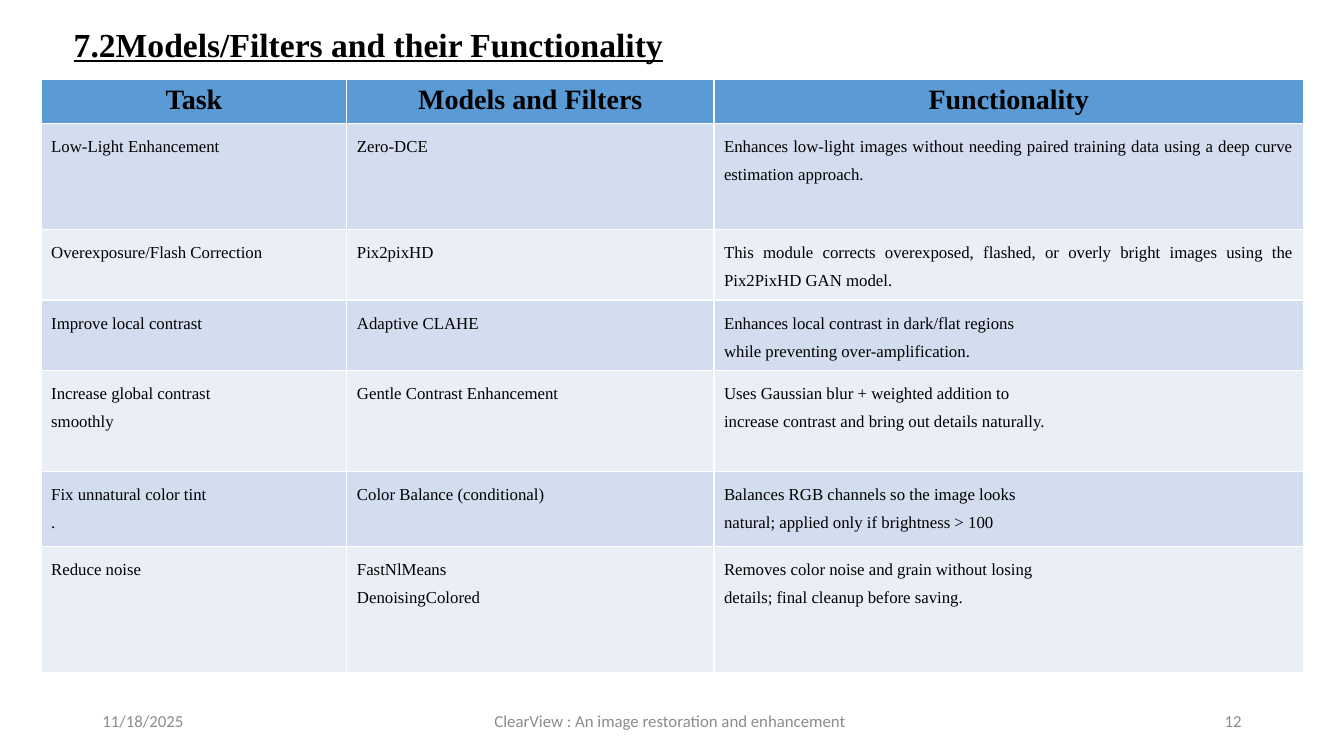
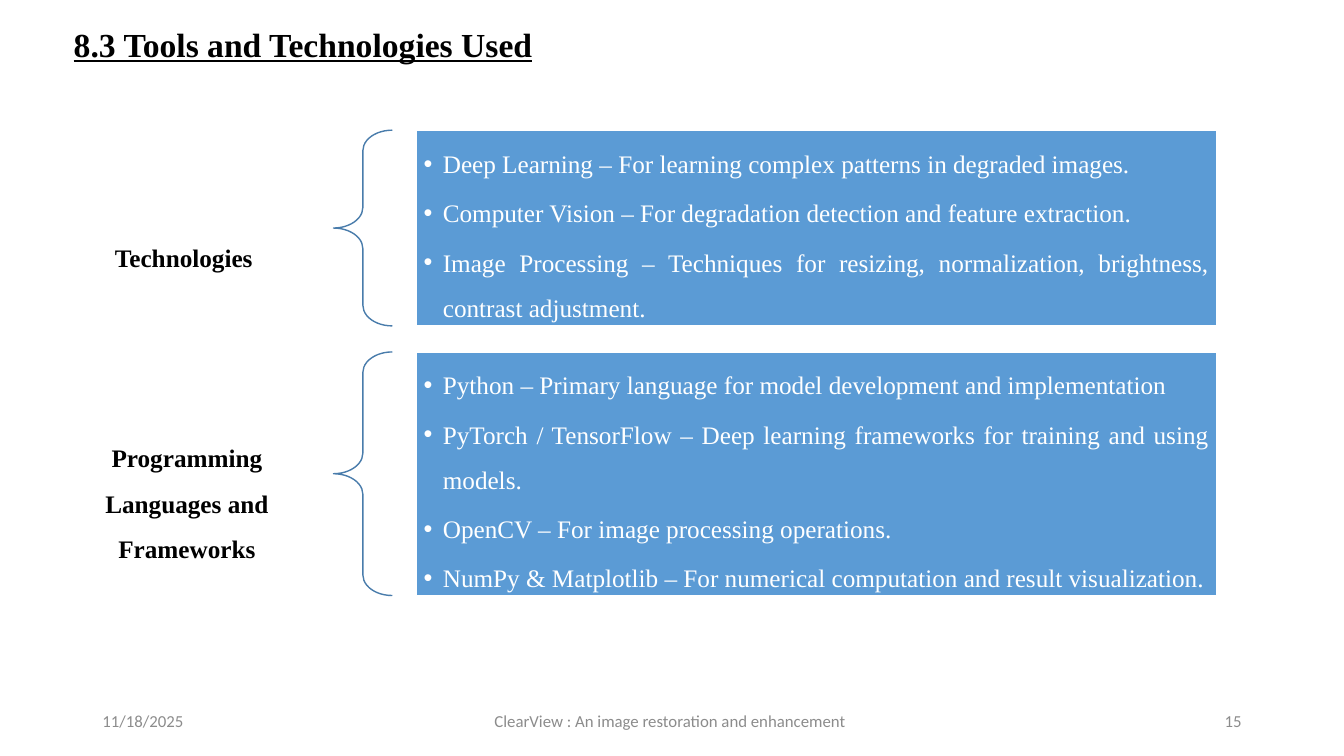
from lxml import etree
from pptx import Presentation
from pptx import util as u
from pptx.dml.color import RGBColor
from pptx.enum import shapes, text
from pptx.oxml.ns import qn

COLUMNS, ROWS = 160, 90
SLIDE_WIDTH, SLIDE_HEIGHT = u.Inches(13.33), u.Inches(7.5)
COLORS = {
    "ink": "000000",
    "paper": "FFFFFF",
    "blue": "5B9BD5",
    "brace": "497CAB",
    "band_dark": "D2DEEF",
    "band_light": "EAEFF7",
    "footer": "8C8C8C",
}
SERIF, SANS = "Times New Roman", "Calibri"
LEFT, CENTER = text.PP_ALIGN.LEFT, text.PP_ALIGN.CENTER
RIGHT, JUSTIFY = text.PP_ALIGN.RIGHT, text.PP_ALIGN.JUSTIFY
TOP, MIDDLE = text.MSO_ANCHOR.TOP, text.MSO_ANCHOR.MIDDLE

DATE = "11/18/2025"
PROJECT = "ClearView : An image restoration and enhancement "

TABLE_COLUMNS = [36.4, 43.7, 70.2]
TABLE_ROWS = [5.2, 12.6, 8.4, 8.4, 12, 8.9, 15.1]
HEADINGS = ["Task", "Models and Filters", "Functionality"]
FILTERS = [
    ["Low-Light Enhancement", "Zero-DCE",
     "Enhances low-light images without needing paired training data using a deep curve "
     "estimation approach."],
    ["Overexposure/Flash Correction", "Pix2pixHD",
     "This module corrects overexposed, flashed, or overly bright images using the "
     "Pix2PixHD GAN model."],
    ["Improve local contrast", "Adaptive CLAHE",
     "Enhances local contrast in dark/flat regions\nwhile preventing over-amplification."],
    ["Increase global contrast\nsmoothly", "Gentle Contrast Enhancement",
     "Uses Gaussian blur + weighted addition to\n"
     "increase contrast and bring out details naturally."],
    ["Fix unnatural color tint\n.", "Color Balance (conditional)",
     "Balances RGB channels so the image looks\nnatural; applied only if brightness > 100"],
    ["Reduce noise", "FastNlMeans\nDenoisingColored",
     "Removes color noise and grain without losing\ndetails; final cleanup before saving."],
]

TOOL_GROUPS = [
    ("Technologies ", 23.3, [
        "Deep Learning – For learning complex patterns in degraded images.",
        "Computer Vision – For degradation detection and feature extraction.",
        "Image Processing – Techniques for resizing, normalization, brightness, "
        "contrast adjustment.",
    ]),
    ("Programming Languages and Frameworks", 29, [
        "Python – Primary language for model development and implementation",
        "PyTorch / TensorFlow – Deep learning frameworks for training and using models.",
        "OpenCV – For image processing operations.",
        "NumPy & Matplotlib – For numerical computation and result visualization.",
    ]),
]
GROUP_TOP, GROUP_GAP, LABEL_DROP = 15.5, 3.1, 2.6


def color(name):
    return RGBColor.from_string(COLORS[name])


def across(columns):
    return round(SLIDE_WIDTH * columns / COLUMNS)


def down(rows):
    return round(SLIDE_HEIGHT * rows / ROWS)


def area(left, top, width, height):
    return across(left), down(top), across(width), down(height)


def add_bullet(para, indent):
    properties = para._p.get_or_add_pPr()
    properties.set("marL", str(indent))
    properties.set("indent", str(-indent))
    etree.SubElement(properties, qn("a:buFont"), typeface="Arial")
    etree.SubElement(properties, qn("a:buChar"), char="•")


def write(frame, content, size=12, font=SERIF, ink="ink", bold=False, underline=False,
          align=LEFT, anchor=TOP, spacing=None, after=None, bullet=False):
    frame.vertical_anchor = anchor
    for index, line in enumerate(content.split("\n")):
        para = frame.paragraphs[0] if index == 0 else frame.add_paragraph()
        para.alignment = align
        if spacing:
            para.line_spacing = spacing
        if after:
            para.space_after = u.Pt(after)
        if bullet:
            add_bullet(para, u.Inches(0.19))
        span = para.add_run()
        span.text = line
        span.font.size = u.Pt(size)
        span.font.name = font
        span.font.bold = bold
        span.font.underline = underline
        span.font.color.rgb = color(ink)


def add_text(page, place, content, wrap=True, **style):
    box = page.shapes.add_textbox(*area(*place))
    box.text_frame.word_wrap = wrap
    write(box.text_frame, content, **style)
    return box


def add_page(deck, title, number):
    page = deck.slides.add_slide(deck.slide_layouts[6])
    add_text(page, (7.6, 2.2, 73, 6), title, wrap=False, size=24, bold=True, underline=True)
    footers = [(11, 36, DATE, LEFT), (53, 54, PROJECT, CENTER), (113, 36, number, RIGHT)]
    for left, width, content, align in footers:
        add_text(page, (left, 83.4, width, 4.8), content, font=SANS, ink="footer",
                 align=align, anchor=MIDDLE)
    return page


def add_filter_table(page, left, top):
    place = area(left, top, sum(TABLE_COLUMNS), sum(TABLE_ROWS))
    table = page.shapes.add_table(len(TABLE_ROWS), len(TABLE_COLUMNS), *place).table
    for column, width in zip(table.columns, TABLE_COLUMNS):
        column.width = across(width)
    for row, height in zip(table.rows, TABLE_ROWS):
        row.height = down(height)
    for row_index, contents in enumerate([HEADINGS] + FILTERS):
        if row_index == 0:
            fill = "blue"
            style = dict(size=20, bold=True, align=CENTER, anchor=MIDDLE)
        else:
            fill = "band_dark" if row_index % 2 else "band_light"
            style = dict(align=JUSTIFY, spacing=1.5)
        for column_index, content in enumerate(contents):
            cell = table.cell(row_index, column_index)
            cell.fill.solid()
            cell.fill.fore_color.rgb = color(fill)
            write(cell.text_frame, content, **style)


def add_shape(page, kind, place, line, fill=None):
    shape = page.shapes.add_shape(kind, *area(*place))
    shape.shadow.inherit = False
    shape.line.color.rgb = color(line)
    shape.line.width = u.Pt(1)
    if fill:
        shape.fill.solid()
        shape.fill.fore_color.rgb = color(fill)
    else:
        shape.fill.background()
    return shape


def add_tool_group(page, top, height, label, items):
    box = add_text(page, (4.8, top + LABEL_DROP, 34.9, height), label, size=18, bold=True,
                   align=CENTER, anchor=MIDDLE, spacing=1.5)
    box.text_frame.margin_left = box.text_frame.margin_right = u.Inches(0.14)

    brace = add_shape(page, shapes.MSO_SHAPE.LEFT_BRACE, (39.7, top, 7, height), "brace")
    brace.adjustments[0] = 0.35

    panel = add_shape(page, shapes.MSO_SHAPE.RECTANGLE, (49.6, top, 95.2, height),
                      "paper", "blue")
    frame = panel.text_frame
    frame.word_wrap = True
    frame.margin_left = frame.margin_right = u.Inches(0.07)
    frame.margin_top = frame.margin_bottom = u.Inches(0.07)
    write(frame, "\n".join(items), size=18, ink="paper", align=JUSTIFY, anchor=MIDDLE,
          spacing=1.5, after=2.7, bullet=True)


def main():
    deck = Presentation()
    deck.slide_width, deck.slide_height = SLIDE_WIDTH, SLIDE_HEIGHT

    filters_page = add_page(deck, "7.2Models/Filters and their Functionality", "12")
    add_filter_table(filters_page, 4.9, 9.5)

    tools_page = add_page(deck, "8.3 Tools and Technologies Used", "15")
    top = GROUP_TOP
    for label, height, items in TOOL_GROUPS:
        add_tool_group(tools_page, top, height, label, items)
        top += height + GROUP_GAP

    deck.save("out.pptx")


if __name__ == "__main__":
    main()
